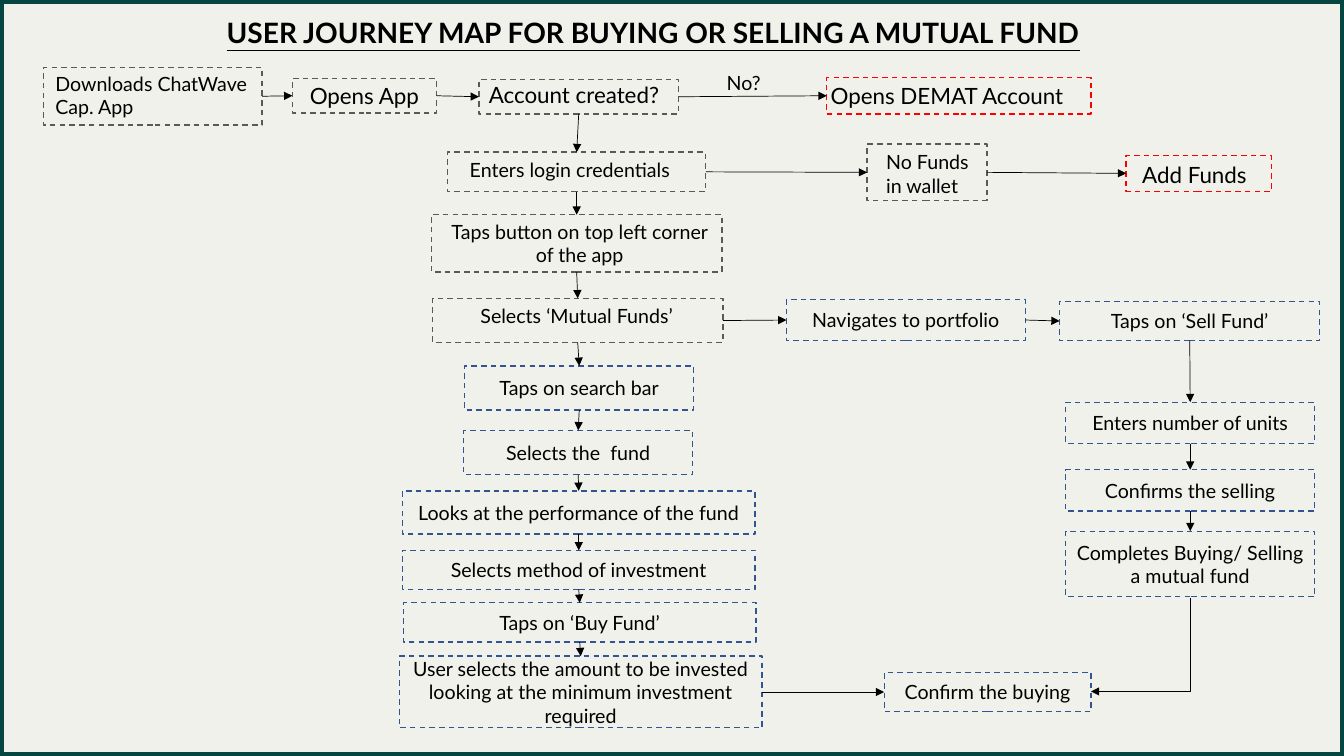
from pptx import Presentation
from pptx.dml.color import RGBColor
from pptx.enum.dml import MSO_LINE
from pptx.enum.shapes import MSO_CONNECTOR as CXN, MSO_SHAPE
from pptx.enum.text import MSO_ANCHOR, MSO_AUTO_SIZE, PP_ALIGN
from pptx.oxml.ns import qn
from pptx.util import Inches, Pt
from lxml import etree

COLORS = {"bg": "F1F1EB", "frame": "054640", "ink": "000000",
          "gray": "595959", "blue": "325491", "red": "FF0000"}
RGB = {name: RGBColor.from_string(value) for name, value in COLORS.items()}


def write(sp, text, size, align, **extra):
    tf = sp.text_frame
    p = tf.paragraphs[0]
    p.alignment = align
    r = p.add_run()
    r.text = text
    r.font.color.rgb = RGB["ink"]
    font = {"name": "Lato", "size": Pt(size), **extra}
    for key, value in font.items():
        setattr(r.font, key, value)
    return tf


def style_arrow(cxn):
    cxn.line.width = Pt(0.5)
    cxn.line.color.rgb = RGB["ink"]
    ln = cxn.line._get_or_add_ln()
    etree.SubElement(ln, qn("a:tailEnd"), type="triangle")
    etree.SubElement(cxn._element.spPr, qn("a:effectLst"))


prs = Presentation()
prs.slide_width, prs.slide_height = Inches(13.33), Inches(7.5)
s = prs.slides.add_slide(prs.slide_layouts[6])
s.background.fill.solid()
s.background.fill.fore_color.rgb = RGB["bg"]

frame = s.shapes.add_shape(MSO_SHAPE.RECTANGLE, 0, 0, prs.slide_width, prs.slide_height)
frame.shadow.inherit = False
frame.fill.background()
frame.line.color.rgb = RGB["frame"]
frame.line.width = Pt(6)

LEFT, CENTER = PP_ALIGN.LEFT, PP_ALIGN.CENTER
title = s.shapes.add_textbox(Inches(2.15), Inches(0.1), Inches(9.02), Inches(0.44))
tf = write(title, "USER JOURNEY MAP FOR BUYING OR SELLING A MUTUAL FUND", 20, LEFT,
           bold=True, underline=True)
tf.word_wrap = False
tf.auto_size = MSO_AUTO_SIZE.SHAPE_TO_FIT_TEXT

steps = [
    ("download", 0.43, 0.67, 2.17, 0.57, "gray", "", 14),
    ("open", 2.9, 0.78, 1.43, 0.34, "gray", "Opens App", 16),
    ("account", 4.75, 0.79, 1.98, 0.34, "gray", "", 16),
    ("demat", 8.2, 0.77, 2.62, 0.36, "red", "", 16),
    ("login", 4.44, 1.51, 2.56, 0.39, "gray", "", 14),
    ("no funds", 8.6, 1.43, 1.19, 0.56, "gray", "", 14),
    ("add funds", 11.17, 1.54, 1.44, 0.36, "red", "", 16),
    ("button", 4.28, 2.13, 2.88, 0.57, "gray", "", 14),
    ("mutual funds", 4.29, 2.96, 2.88, 0.44, "gray", "", 14),
    ("portfolio", 7.8, 2.97, 2.37, 0.41, "blue", "Navigates to portfolio", 14),
    ("sell", 10.51, 2.99, 2.58, 0.39, "blue", "Taps on ‘Sell Fund’", 14),
    ("units", 10.57, 3.99, 2.47, 0.41, "blue", "Enters number of units", 14),
    ("confirm sell", 10.57, 4.66, 2.47, 0.41, "blue", "Confirms the selling", 14),
    ("complete", 10.57, 5.27, 2.47, 0.65, "blue",
     "Completes Buying/ Selling a mutual fund", 14),
    ("search", 4.61, 3.63, 2.27, 0.44, "blue", "Taps on search bar", 14),
    ("fund", 4.6, 4.27, 2.27, 0.44, "blue", "Selects the  fund", 14),
    ("performance", 3.99, 4.87, 3.5, 0.43, "blue",
     "Looks at the performance of the fund", 14),
    ("method", 3.99, 5.46, 3.5, 0.39, "blue", "Selects method of investment", 14),
    ("buy", 4, 5.98, 3.5, 0.39, "blue", "Taps on ‘Buy Fund’", 14),
    ("amount", 3.96, 6.51, 3.6, 0.71, "blue",
     "User selects the amount to be invested looking at the minimum investment required", 14),
    ("confirm buy", 8.77, 6.67, 2.05, 0.39, "blue", "Confirm the buying", 14),
]
boxes = {}
for name, x, y, w, h, color, text, size in steps:
    sp = s.shapes.add_shape(MSO_SHAPE.RECTANGLE, Inches(x), Inches(y), Inches(w), Inches(h))
    sp.shadow.inherit = False
    sp.fill.background()
    sp.line.color.rgb = RGB[color]
    sp.line.width = Pt(1)
    sp.line.dash_style = MSO_LINE.DASH
    if text:
        tf = write(sp, text, size, CENTER)
        tf.vertical_anchor = MSO_ANCHOR.MIDDLE
    boxes[name] = sp

labels = [
    (0.45, 0.66, 2.31, 0.57, "Downloads ChatWave Cap. App", 14, LEFT),
    (4.75, 0.76, 2.02, 0.37, "Account created?", 16, LEFT),
    (7.11, 0.65, 0.57, 0.34, "No?", 14, LEFT),
    (8.14, 0.77, 3.03, 0.37, "Opens DEMAT Account", 16, LEFT),
    (4.56, 1.52, 2.35, 0.34, "Enters login credentials", 14, LEFT),
    (8.69, 1.44, 1.09, 0.57, "No Funds in wallet", 14, LEFT),
    (11.23, 1.55, 1.79, 0.37, "Add Funds", 16, LEFT),
    (4.3, 2.13, 2.9, 0.57, "Taps button on top left corner of the app", 14, CENTER),
    (4.27, 2.97, 2.9, 0.34, "Selects ‘Mutual Funds’", 14, CENTER),
]
for x, y, w, h, text, size, align in labels:
    sp = s.shapes.add_textbox(Inches(x), Inches(y), Inches(w), Inches(h))
    tf = write(sp, text, size, align)
    tf.word_wrap = text != "No?"
    tf.auto_size = MSO_AUTO_SIZE.SHAPE_TO_FIT_TEXT

TOP, LEFT_SIDE, BOTTOM, RIGHT_SIDE = range(4)
across = [
    ["download", "open", "account", "demat"],
    ["login", "no funds", "add funds"],
    ["mutual funds", "portfolio", "sell"],
    ["amount", "confirm buy"],
]
down = [
    ["account", "login", "button", "mutual funds", "search", "fund",
     "performance", "method", "buy", "amount"],
    ["sell", "units", "confirm sell", "complete"],
]
for chains, start, end in [(across, RIGHT_SIDE, LEFT_SIDE), (down, BOTTOM, TOP)]:
    for chain in chains:
        for a, b in zip(chain, chain[1:]):
            cxn = s.shapes.add_connector(CXN.STRAIGHT, 0, 0, 0, 0)
            cxn.begin_connect(boxes[a], start)
            cxn.end_connect(boxes[b], end)
            style_arrow(cxn)

elbow = s.shapes.add_connector(CXN.ELBOW, Inches(10.85), Inches(5.9),
                               Inches(11.78), Inches(6.89))
spPr = elbow._element.spPr
spPr.find(qn("a:xfrm")).set("rot", "5400000")
spPr.find(qn("a:prstGeom")).set("prst", "bentConnector2")
style_arrow(elbow)

prs.save("out.pptx")
